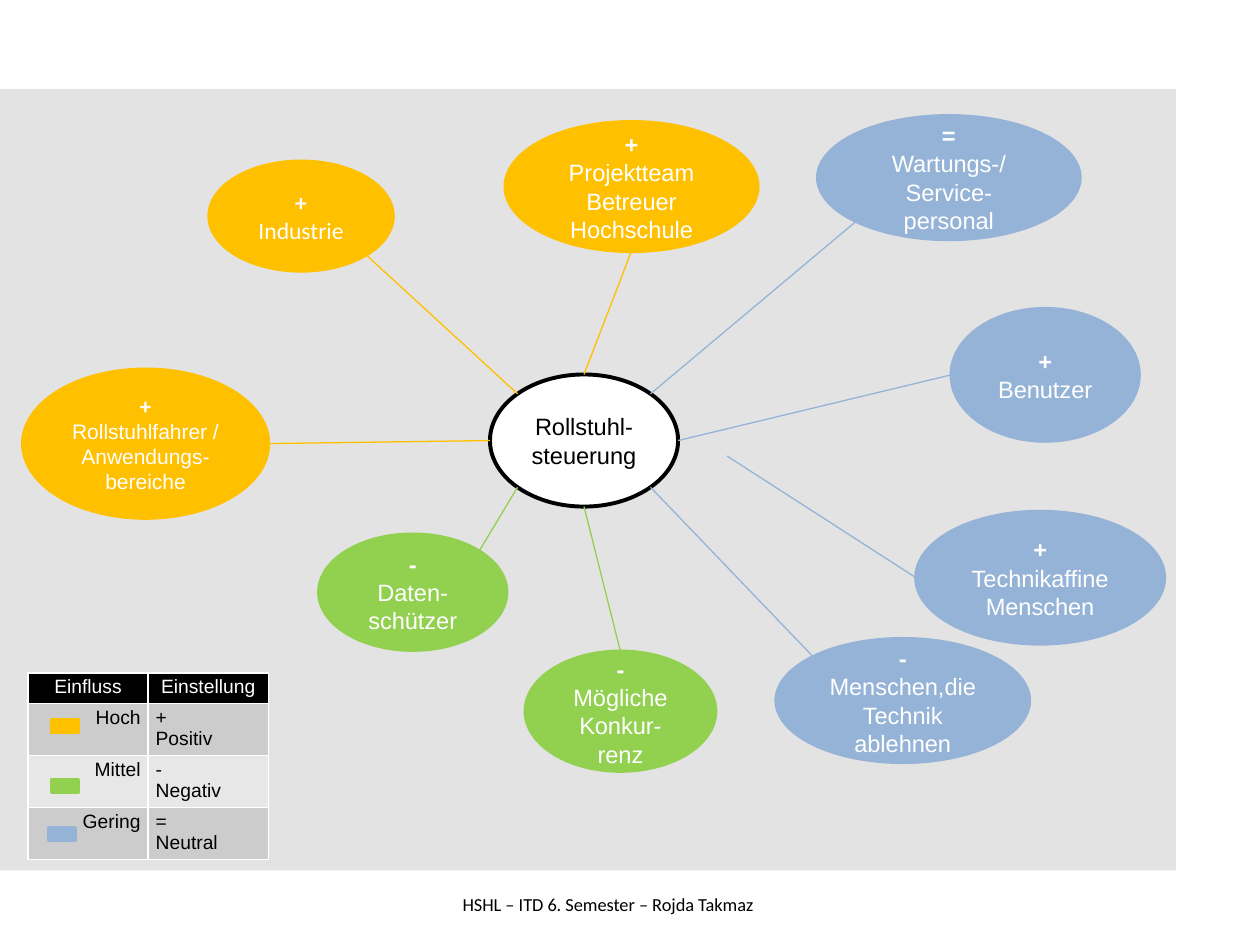
"""Build a stakeholder map around a wheelchair control with an influence legend."""
import math

import pptx
import pptx.dml.color
import pptx.enum.shapes
import pptx.enum.text
import pptx.oxml
import pptx.util

Pt = pptx.util.Pt
RGBColor = pptx.dml.color.RGBColor
SHAPE = pptx.enum.shapes.MSO_SHAPE
ALIGN = pptx.enum.text.PP_ALIGN
ANCHOR = pptx.enum.text.MSO_ANCHOR
NAMESPACE = 'xmlns:a="http://schemas.openxmlformats.org/drawingml/2006/main"'

BLACK = RGBColor(0x00, 0x00, 0x00)
WHITE = RGBColor(0xFF, 0xFF, 0xFF)
PANEL = RGBColor(0xE3, 0xE3, 0xE3)
DARK_BAND = RGBColor(0xCC, 0xCC, 0xCC)
LIGHT_BAND = RGBColor(0xE7, 0xE7, 0xE7)
HIGH = RGBColor(0xFF, 0xC0, 0x00)
MEDIUM = RGBColor(0x92, 0xD0, 0x50)
LOW = RGBColor(0x95, 0xB3, 0xD7)

CENTRE_TEXT = "Rollstuhl-steuerung"
CENTRE = (280, 214, 107.5, 75.5)
ANGLES = {"right": 0, "bottom right": 45, "bottom": 90, "bottom left": 135,
          "left": 180, "top left": 225, "top": 270, "top right": 315}
FREE_START = (415.5, 260.6)

# attitude, lines, influence, place, own side, centre side, font, size
STAKEHOLDERS = [
    ("+", ["Rollstuhlfahrer / Anwendungs-bereiche"], HIGH,
     (13, 211, 140.4, 85), "right", "left", "Arial", 12),
    ("+", ["Projektteam", "Betreuer", "Hochschule"], HIGH,
     (288.7, 69.6, 144.3, 74), "bottom", "top", "Arial", 13.5),
    ("+", ["Technikaffine", "Menschen"], LOW,
     (523.4, 292.3, 142, 75.6), "left", None, "Arial", 13.5),
    ("-", ["Menschen,die Technik ablehnen"], LOW,
     (443.5, 365, 144.7, 70.6), "top left", "bottom right", "Arial", 13.5),
    ("+", ["Industrie"], HIGH,
     (119.5, 92.2, 105.1, 62.6), "bottom right", "top left", "Calibri", 13.5),
    ("-", ["Daten-", "schützer"], MEDIUM,
     (182.2, 305.3, 107.3, 66.2), "top right", "bottom left", "Arial", 13.5),
    ("=", ["Wartungs-/Service-", "personal"], LOW,
     (467.3, 66.2, 149.8, 70.6), "bottom left", "top right", "Arial", 13.5),
    ("-", ["Mögliche Konkur-", "renz"], MEDIUM,
     (300.2, 372.2, 108.7, 68.4), "top", "bottom", "Arial", 13.5),
    ("+", ["Benutzer"], LOW,
     (543.6, 176.4, 107.3, 75.6), "left", "right", "Arial", 13.5),
]

LEGEND = [("Einfluss", "Einstellung", BLACK, 17.5),
          ("Hoch", "+\vPositiv", DARK_BAND, 29.7),
          ("Mittel", "-\vNegativ", LIGHT_BAND, 29.7),
          ("Gering", "=\vNeutral", DARK_BAND, 29.7)]
SWATCHES = [(29.5, 411.1, HIGH), (29.5, 445.7, MEDIUM), (28, 473, LOW)]
FOOTER = "HSHL – ITD 6. Semester – Rojda Takmaz"


def style_text(paragraph, font, size, colour, align=ALIGN.CENTER, bold=False):
    paragraph.alignment = align
    for span in paragraph.runs:
        span.font.name = font
        span.font.size = Pt(size)
        span.font.bold = bold
        span.font.color.rgb = colour


def add_box(page, kind, place, fill, line=None, width=2):
    box = page.shapes.add_shape(kind, *map(Pt, place))
    box.shadow.inherit = False
    box.fill.solid()
    box.fill.fore_color.rgb = fill
    if line is None:
        box.line.fill.background()
    else:
        box.line.color.rgb = line
        box.line.width = Pt(width)
    return box


def ellipse_point(place, side):
    left, top, width, height = place
    angle = math.radians(ANGLES[side])
    return (left + width / 2 * (1 + math.cos(angle)),
            top + height / 2 * (1 + math.sin(angle)))


def add_link(page, start, end, colour):
    link = page.shapes.add_connector(
        pptx.enum.shapes.MSO_CONNECTOR.STRAIGHT, *map(Pt, start + end))
    link.line.color.rgb = colour
    link.line.width = Pt(0.75)
    link._element.spPr.append(pptx.oxml.parse_xml(f"<a:effectLst {NAMESPACE}/>"))


def add_stakeholder(page, attitude, lines, colour, place, font, size):
    box = add_box(page, SHAPE.OVAL, place, colour, colour)
    box.text_frame.text = "\n".join([attitude] + lines)
    for index, paragraph in enumerate(box.text_frame.paragraphs):
        style_text(paragraph, font, size, WHITE, bold=index == 0)


def style_cell(cell, text, fill, colour, align):
    properties = cell._tc.get_or_add_tcPr()
    for side in "LRTB":
        properties.append(pptx.oxml.parse_xml(
            f'<a:ln{side} {NAMESPACE} w="12700"><a:solidFill>'
            f'<a:srgbClr val="{WHITE}"/></a:solidFill></a:ln{side}>'))
    cell.fill.solid()
    cell.fill.fore_color.rgb = fill
    cell.margin_left = cell.margin_right = Pt(4.3)
    cell.margin_top = cell.margin_bottom = Pt(2)
    cell.text_frame.text = text
    style_text(cell.text_frame.paragraphs[0], "Arial", 11, colour, align)


def add_legend(page):
    height = sum(row[3] for row in LEGEND)
    table = page.shapes.add_table(
        len(LEGEND), 2, Pt(16), Pt(384.5), Pt(137.4), Pt(height)).table
    table.first_row = table.horz_banding = False
    for column in table.columns:
        column.width = Pt(68.7)
    for index, (influence, attitude, fill, row_height) in enumerate(LEGEND):
        table.rows[index].height = Pt(row_height)
        header = index == 0
        colour = WHITE if header else BLACK
        aligns = (ALIGN.CENTER,) * 2 if header else (ALIGN.RIGHT, ALIGN.LEFT)
        for column, text in enumerate((influence, attitude)):
            style_cell(table.cell(index, column), text, fill, colour, aligns[column])
    for left, top, colour in SWATCHES:
        add_box(page, SHAPE.RECTANGLE, (left, top, 15, 7.2), colour, colour)


def add_footer(page):
    box = page.shapes.add_textbox(Pt(255), Pt(507), Pt(185), Pt(20))
    box.text_frame.word_wrap = False
    box.text_frame.text = FOOTER
    style_text(box.text_frame.paragraphs[0], "Calibri", 10.5, BLACK)


def main():
    deck = pptx.Presentation()
    deck.slide_width, deck.slide_height = Pt(720), Pt(540)
    page = deck.slides.add_slide(deck.slide_layouts[6])
    add_box(page, SHAPE.RECTANGLE, (0, 51, 672, 446.4), PANEL)
    centre = add_box(page, SHAPE.OVAL, CENTRE, WHITE, BLACK, 2.25)
    centre.text_frame.text = CENTRE_TEXT
    style_text(centre.text_frame.paragraphs[0], "Arial", 13.5, BLACK)
    add_legend(page)
    for _, _, colour, place, side, centre_side, _, _ in STAKEHOLDERS:
        start = ellipse_point(CENTRE, centre_side) if centre_side else FREE_START
        add_link(page, start, ellipse_point(place, side), colour)
    for attitude, lines, colour, place, _, _, font, size in STAKEHOLDERS:
        add_stakeholder(page, attitude, lines, colour, place, font, size)
    add_footer(page)
    deck.save("out.pptx")


if __name__ == "__main__":
    main()
